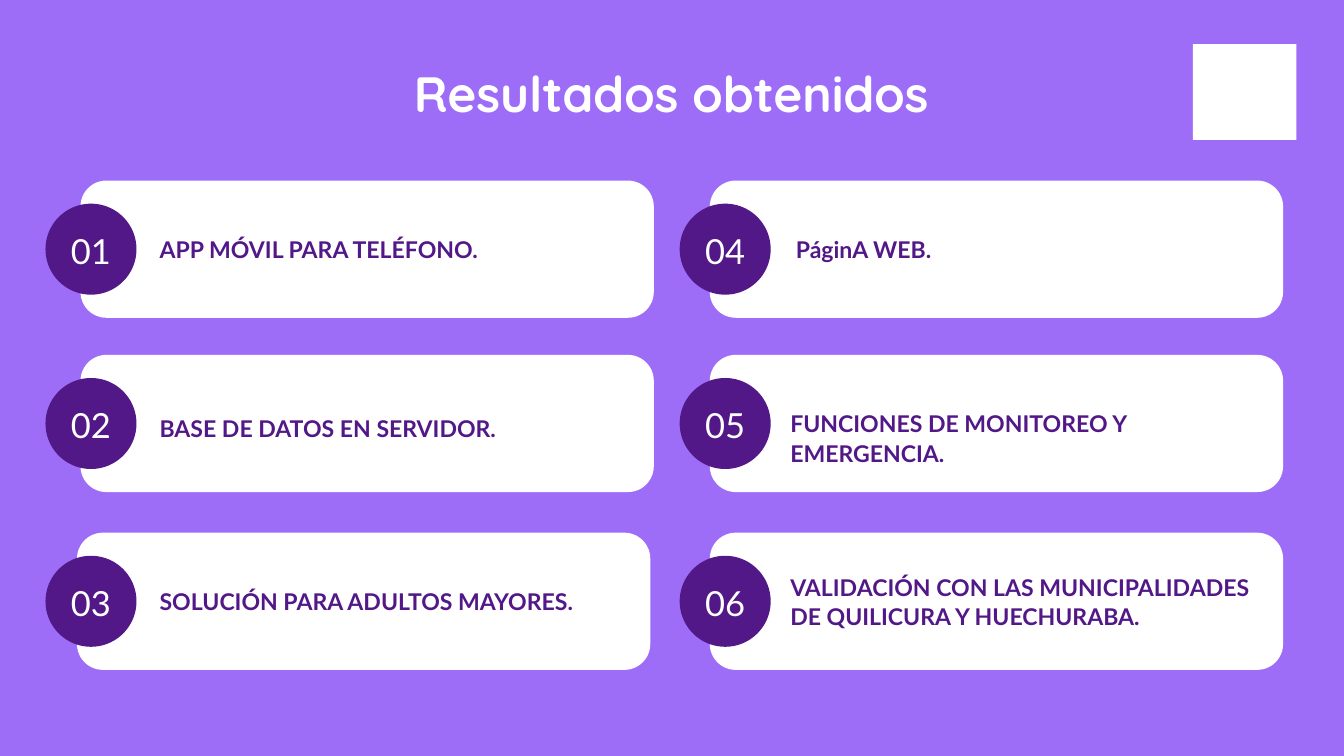
from dataclasses import dataclass

from pptx import Presentation, util as u
from pptx.dml.color import RGBColor
from pptx.enum import shapes, text

EMU_PER_PX = 9525


@dataclass(frozen=True)
class Theme:
    background: str = "9E6DF7"
    white: str = "FFFFFF"
    purple: str = "521887"
    title_font: str = "Quicksand"
    body_font: str = "Lato"
    title_size: float = 53.1
    number_size: float = 37
    label_size: float = 24.7
    title_leading: float = 69.6
    number_leading: float = 47
    label_leading: float = 31.4


@dataclass(frozen=True)
class Box:
    left: int
    top: int
    width: int
    height: int

    def emu(self) -> tuple:
        return tuple(u.Emu(v * EMU_PER_PX)
                     for v in (self.left, self.top, self.width, self.height))


@dataclass(frozen=True)
class TextStyle:
    font: str
    size: float
    leading: float
    color: str
    bold: bool = False
    align: text.PP_ALIGN = text.PP_ALIGN.LEFT


@dataclass(frozen=True)
class Result:
    """One numbered card; the label is placed from the card row and column."""
    number: str
    label: str
    card_left: int
    circle_left: int
    row_top: int
    label_left: int
    label_drop: int
    label_width: int
    lines: int = 1


THEME = Theme()
TITLE = TextStyle(THEME.title_font, THEME.title_size, THEME.title_leading,
                  THEME.white, True, text.PP_ALIGN.CENTER)
NUMBER = TextStyle(THEME.body_font, THEME.number_size, THEME.number_leading,
                   THEME.white, False, text.PP_ALIGN.CENTER)
LABEL = TextStyle(THEME.body_font, THEME.label_size, THEME.label_leading,
                  THEME.purple, True)

CARD_WIDTH, CARD_HEIGHT, CARD_RADIUS = 819, 196, 37
CIRCLE_SIZE, CIRCLE_DROP = 130, 33
LINE_HEIGHT = 41
ROWS = (258, 507, 761)

RESULTS = (
    Result("01", "APP MÓVIL PARA TELÉFONO.", 115, 65, ROWS[0], 228, 76, 540),
    Result("02", "BASE DE DATOS EN SERVIDOR.", 115, 65, ROWS[1], 228, 82, 540),
    Result("03", "SOLUCIÓN PARA ADULTOS MAYORES.", 110, 65, ROWS[2], 228, 76, 605),
    Result("04", "PáginA WEB.", 1014, 971, ROWS[0], 1137, 76, 540),
    Result("05", "FUNCIONES DE MONITOREO Y EMERGENCIA.",
           1014, 971, ROWS[1], 1129, 76, 674, 2),
    Result("06", "VALIDACIÓN CON LAS MUNICIPALIDADES\nDE QUILICURA Y HUECHURABA.",
           1014, 971, ROWS[2], 1129, 56, 674, 2),
)


def set_text(tf, content: str, style: TextStyle) -> None:
    tf.word_wrap = True
    tf.margin_left = tf.margin_top = tf.margin_right = tf.margin_bottom = 0
    tf.text = content
    for p in tf.paragraphs:
        p.alignment = style.align
        p.line_spacing = u.Pt(style.leading)
        for r in p.runs:
            r.font.name = style.font
            r.font.size = u.Pt(style.size)
            r.font.bold = style.bold
            r.font.color.rgb = RGBColor.from_string(style.color)


def add_text(s, box: Box, content: str, style: TextStyle) -> None:
    tf = s.shapes.add_textbox(*box.emu()).text_frame
    tf.vertical_anchor = text.MSO_ANCHOR.TOP
    set_text(tf, content, style)


def add_filled(s, kind: shapes.MSO_SHAPE, box: Box, color: str):
    sp = s.shapes.add_shape(kind, *box.emu())
    sp.shadow.inherit = False
    sp.fill.solid()
    sp.fill.fore_color.rgb = RGBColor.from_string(color)
    sp.line.fill.background()
    return sp


def add_result(s, item: Result) -> None:
    card = add_filled(s, shapes.MSO_SHAPE.ROUNDED_RECTANGLE,
                      Box(item.card_left, item.row_top, CARD_WIDTH, CARD_HEIGHT),
                      THEME.white)
    card.adjustments[0] = CARD_RADIUS / CARD_HEIGHT
    circle = add_filled(s, shapes.MSO_SHAPE.OVAL,
                        Box(item.circle_left, item.row_top + CIRCLE_DROP,
                            CIRCLE_SIZE, CIRCLE_SIZE), THEME.purple)
    circle.text_frame.vertical_anchor = text.MSO_ANCHOR.MIDDLE
    set_text(circle.text_frame, item.number, NUMBER)
    add_text(s, Box(item.label_left, item.row_top + item.label_drop,
                    item.label_width, LINE_HEIGHT * item.lines), item.label, LABEL)


def main() -> None:
    prs = Presentation()
    prs.slide_width = u.Emu(1920 * EMU_PER_PX)
    prs.slide_height = u.Emu(1080 * EMU_PER_PX)
    s = prs.slides.add_slide(prs.slide_layouts[6])
    s.background.fill.solid()
    s.background.fill.fore_color.rgb = RGBColor.from_string(THEME.background)

    add_filled(s, shapes.MSO_SHAPE.RECTANGLE, Box(1704, 63, 148, 137), THEME.white)
    add_text(s, Box(233, 82, 1452, 90), "Resultados obtenidos", TITLE)
    for item in RESULTS:
        add_result(s, item)
    prs.save("out.pptx")


if __name__ == "__main__":
    main()
